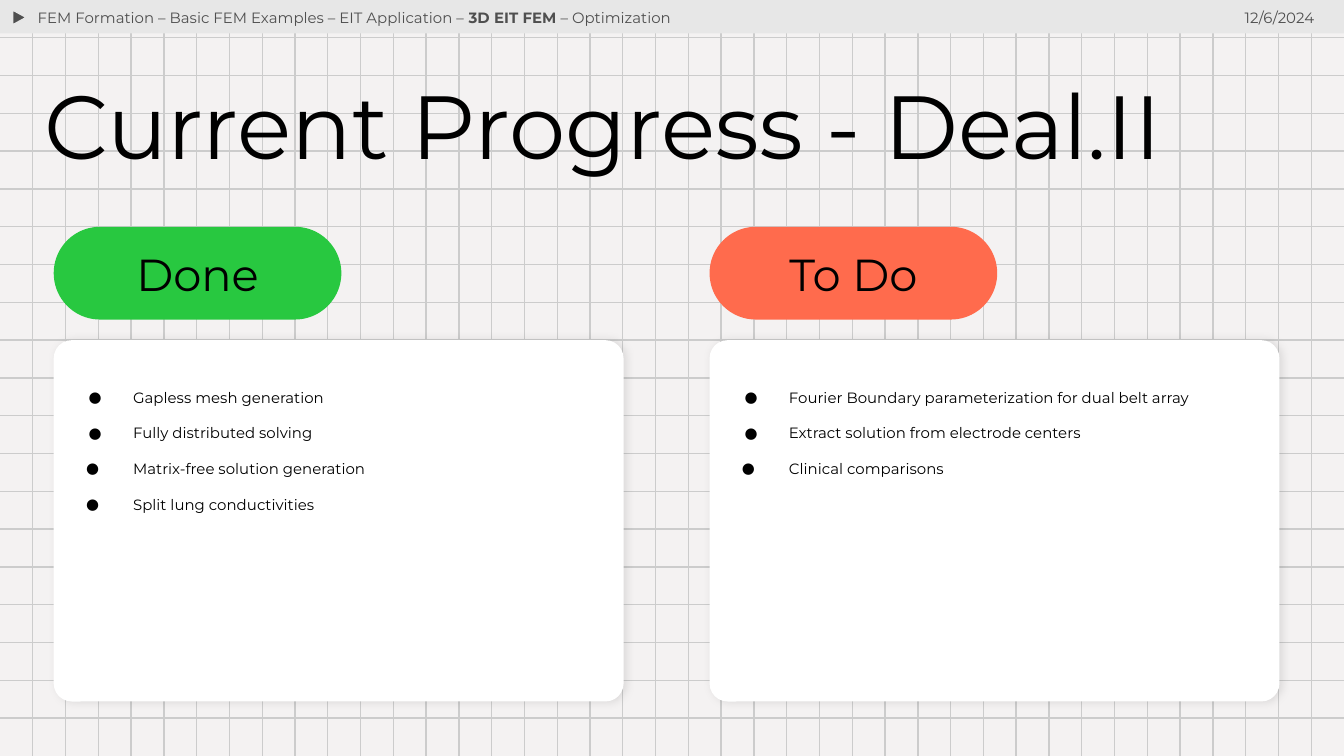
"""Builds a progress slide that compares finished and open work."""
from dataclasses import dataclass
from typing import Optional

from lxml import etree
from pptx import Presentation, util as u
from pptx.dml import color
from pptx.enum import shapes, text
from pptx.oxml import ns

WIDTH, HEIGHT = u.Inches(10), u.Inches(10 * 9 / 16)
COLUMNS, ROWS = 41, 20
FONT = "Montserrat"
COLORS = {
    "paper": "F4F2F2", "grid": "CCCCCC", "bar": "E7E7E7", "muted": "4F4F4F",
    "card": "FFFFFF", "done": "28C840", "todo": "FF6B4D", "ink": "000000",
}
SHAPE = shapes.MSO_SHAPE
ALIGN = text.PP_ALIGN


@dataclass(frozen=True)
class Frame:
    """A place on the slide, in percent of the slide's width and height."""
    left: float
    top: float
    width: float
    height: float

    def lengths(self) -> tuple:
        return (int(WIDTH * self.left / 100), int(HEIGHT * self.top / 100),
                int(WIDTH * self.width / 100), int(HEIGHT * self.height / 100))


@dataclass(frozen=True)
class Span:
    words: str
    bold: bool = False


@dataclass(frozen=True)
class Bullet:
    words: str
    hang: float


@dataclass(frozen=True)
class Panel:
    left: float
    label: str
    color: str
    holder: int
    list_height: float
    bullets: tuple


PANELS = (
    Panel(4, "Done", "done", 2, 29.87, (
        Bullet("Gapless mesh generation", 0.33),
        Bullet("Fully distributed solving", 0.33),
        Bullet("Matrix-free solution generation", 0.35),
        Bullet("Split lung conductivities", 0.35))),
    Panel(52.8, "To Do", "todo", 4, 25.78, (
        Bullet("Fourier Boundary parameterization for dual belt array", 0.33),
        Bullet("Extract solution from electrode centers", 0.33),
        Bullet("Clinical comparisons", 0.35))),
)
TRAIL = (
    Span("FEM Formation – Basic FEM Examples – EIT Application – "),
    Span("3D EIT FEM", True),
    Span(" – Optimization"),
)


def rgb(name: str) -> color.RGBColor:
    return color.RGBColor.from_string(COLORS[name])


def add_child(parent, tag: str, **attributes: str):
    return etree.SubElement(parent, ns.qn(tag), attributes)


def add_line(page, start: tuple, end: tuple) -> None:
    line = page.shapes.add_connector(
        shapes.MSO_CONNECTOR.STRAIGHT, *map(int, start + end))
    line.line.color.rgb = rgb("grid")
    line.line.width = u.Pt(0.75)
    add_child(line.element.spPr, "a:effectLst")


def add_grid(page) -> None:
    for row in range(1, ROWS):
        y = HEIGHT * row / ROWS
        add_line(page, (0, y), (WIDTH, y))
    for column in range(1, COLUMNS):
        x = WIDTH * column / COLUMNS
        add_line(page, (x, 0), (x, HEIGHT))


def add_block(page, kind, frame: Frame, fill: str,
              corner: Optional[float] = None):
    block = page.shapes.add_shape(kind, *frame.lengths())
    block.shadow.inherit = False
    block.fill.solid()
    block.fill.fore_color.rgb = rgb(fill)
    block.line.fill.background()
    if corner is not None:
        block.adjustments[0] = corner
    return block


def add_soft_shadow(block) -> None:
    effects = block.element.spPr.find(ns.qn("a:effectLst"))
    shadow = add_child(effects, "a:outerShdw", blurRad=str(u.Pt(4.5)),
                       dist=str(u.Pt(1.5)), dir="0", algn="bl", rotWithShape="0")
    tint = add_child(shadow, "a:srgbClr", val=COLORS["ink"])
    add_child(tint, "a:alpha", val="10000")


def prepare_text(box, anchor=text.MSO_ANCHOR.TOP):
    frame = box.text_frame
    frame.word_wrap = True
    frame.auto_size = text.MSO_AUTO_SIZE.NONE
    frame.vertical_anchor = anchor
    frame.margin_left = frame.margin_right = u.Inches(0.1)
    frame.margin_top = frame.margin_bottom = u.Inches(0.1)
    return frame


def place_holder(page, index: int, frame: Frame):
    box = page.placeholders[index]
    box.left, box.top, box.width, box.height = frame.lengths()
    box.element.getparent().append(box.element)
    return prepare_text(box)


def write(para, spans: tuple, size: float, ink: str = "ink",
          align=ALIGN.LEFT, spacing: float = 1, before: float = 0) -> None:
    para.alignment = align
    para.line_spacing = spacing
    para.space_before = u.Pt(before)
    for span in spans:
        run = para.add_run()
        run.text = span.words
        run.font.name = FONT
        run.font.size = u.Pt(size)
        run.font.bold = span.bold
        run.font.color.rgb = rgb(ink)


def write_list(frame, bullets: tuple) -> None:
    for number, bullet in enumerate(bullets):
        para = frame.add_paragraph() if number else frame.paragraphs[0]
        write(para, (Span(bullet.words),), 8, before=9.5 if number else 0)
        settings = para._p.get_or_add_pPr()
        settings.set("marL", str(u.Inches(0.5)))
        settings.set("indent", str(-u.Inches(bullet.hang)))
        tint = add_child(settings, "a:buClr")
        add_child(tint, "a:srgbClr", val=COLORS["ink"])
        add_child(settings, "a:buFont", typeface=FONT)
        add_child(settings, "a:buChar", char="●")


def add_panel(page, panel: Panel) -> None:
    card = add_block(page, SHAPE.ROUNDED_RECTANGLE,
                     Frame(panel.left, 45, 42.4, 47.8), "card", 0.05)
    add_soft_shadow(card)
    write_list(place_holder(page, panel.holder, Frame(
        panel.left - 0.1, 49.6, 42.6, panel.list_height)), panel.bullets)
    pill = add_block(page, SHAPE.ROUNDED_RECTANGLE,
                     Frame(panel.left, 30, 21.4, 12.27), panel.color, 0.5)
    label = prepare_text(pill, text.MSO_ANCHOR.MIDDLE)
    write(label.paragraphs[0], (Span(panel.label),), 24, align=ALIGN.CENTER)


def add_header(page) -> None:
    add_block(page, SHAPE.RECTANGLE, Frame(0, 0, 100, 4.44), "bar")
    marker = add_block(page, SHAPE.ISOSCELES_TRIANGLE,
                       Frame(0.9, 1.42, 1.1, 1.78), "muted")
    marker.rotation = 90
    marker.line.color.rgb = rgb("bar")
    marker.line.width = u.Pt(0.75)
    date = place_holder(page, 3, Frame(86.3, -0.71, 12.5, 6.04))
    write(date.paragraphs[0], (Span("12/6/2024"),), 8, "muted", ALIGN.RIGHT)
    trail = place_holder(page, 1, Frame(1.8, -0.71, 58.4, 6.58))
    write(trail.paragraphs[0], TRAIL, 8, "muted")


def main() -> None:
    deck = Presentation()
    deck.slide_width, deck.slide_height = WIDTH, HEIGHT
    page = deck.slides.add_slide(deck.slide_layouts.get_by_name("Comparison"))
    page.background.fill.solid()
    page.background.fill.fore_color.rgb = rgb("paper")
    add_grid(page)
    add_header(page)
    for panel in PANELS:
        add_panel(page, panel)
    title = place_holder(page, 0, Frame(2.3, 9.07, 91.1, 16.53))
    write(title.paragraphs[0], (Span("Current Progress - Deal.II"),), 48, spacing=0.9)
    deck.save("out.pptx")


if __name__ == "__main__":
    main()
